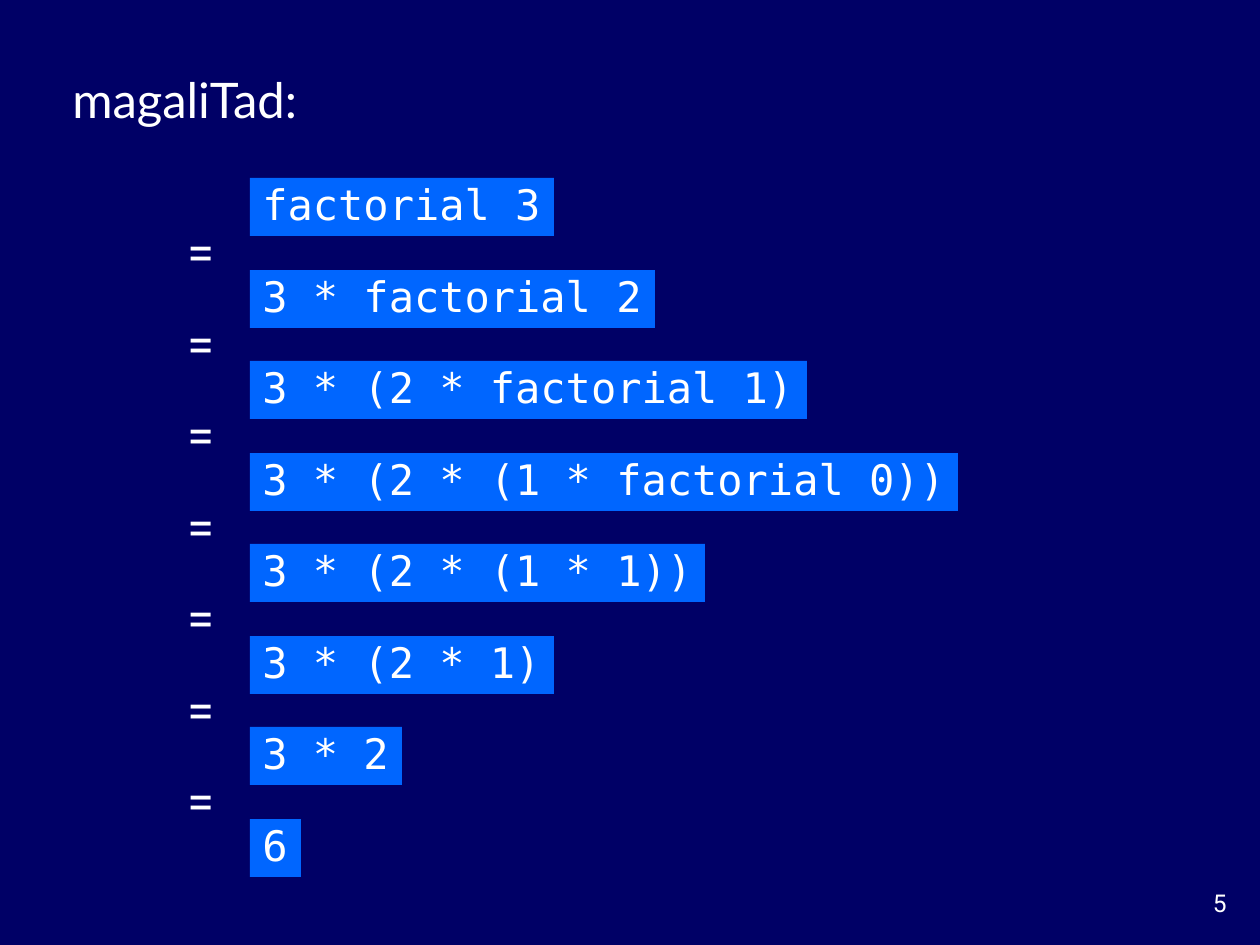
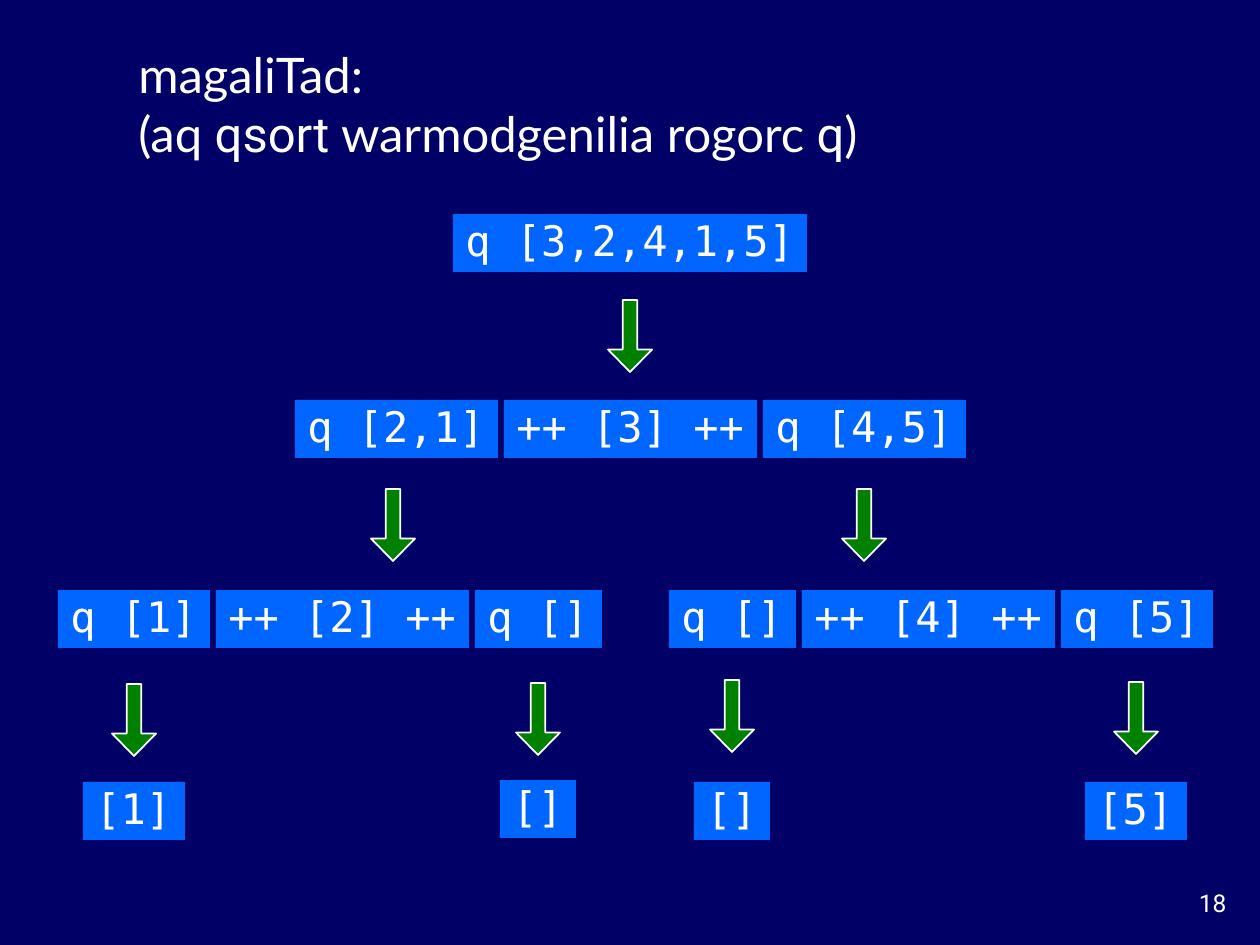
from math import ceil
from typing import NamedTuple

from pptx import Presentation
from pptx import util as u
from pptx.dml.color import RGBColor
from pptx.enum import shapes, text

# Shared style
EMU_PER_PX = 914400 / 126
NAVY = RGBColor(0x00, 0x00, 0x66)
BLUE = RGBColor(0x00, 0x66, 0xFF)
GREEN = RGBColor(0x00, 0x80, 0x00)
WHITE = RGBColor(0xFF, 0xFF, 0xFF)
TITLE_FONT, PLAIN_FONT, CODE_FONT = "Lato", "Roboto", "DejaVu Sans Mono"
TITLE_SIZE, CODE_SIZE, NUMBER_SIZE = 28, 24, 14
CODE_HEIGHT, CHAR_WIDTH, CODE_PADDING = 58, 25.28, 25.2
ARROW_WIDTH, ARROW_HEIGHT = 44, 72


class Box(NamedTuple):
    left: int
    top: int
    width: int
    height: int


class Span(NamedTuple):
    words: str
    font: str = TITLE_FONT


class Chain(NamedTuple):
    """Code boxes set side by side."""
    left: int
    top: int
    codes: list[str]


class Step(NamedTuple):
    """An arrow, and the result below it if it is a single box."""
    center: int
    top: int
    result: str = ""
    result_top: int = 782


# Content
STEPS = [
    "factorial 3",
    "3 * factorial 2",
    "3 * (2 * factorial 1)",
    "3 * (2 * (1 * factorial 0))",
    "3 * (2 * (1 * 1))",
    "3 * (2 * 1)",
    "3 * 2",
    "6",
]
CHAINS = [
    Chain(453, 214, ["q [3,2,4,1,5]"]),
    Chain(295, 400, ["q [2,1]", "++ [3] ++", "q [4,5]"]),
    Chain(58, 590, ["q [1]", "++ [2] ++", "q []"]),
    Chain(669, 590, ["q []", "++ [4] ++", "q [5]"]),
]
ARROWS = [
    Step(630, 300),
    Step(393, 489),
    Step(864, 489),
    Step(134, 684, "[1]"),
    Step(538, 683, "[]", 780),
    Step(732, 680, "[]"),
    Step(1136, 682, "[5]"),
]


def px(length: float) -> int:
    return round(length * EMU_PER_PX)


def emu(box: Box) -> list[int]:
    return [px(length) for length in box]


# Drawing
def write(shape, lines: list[list[Span]], *, size: int, align=text.PP_ALIGN.LEFT,
          anchor=text.MSO_ANCHOR.MIDDLE, spacing: float = 1.0,
          wrap: bool = False, grow: bool = True) -> None:
    frame = shape.text_frame
    frame.word_wrap = wrap
    frame.vertical_anchor = anchor
    frame.auto_size = (text.MSO_AUTO_SIZE.SHAPE_TO_FIT_TEXT if grow
                       else text.MSO_AUTO_SIZE.NONE)
    for index, spans in enumerate(lines):
        para = frame.add_paragraph() if index else frame.paragraphs[0]
        para.alignment = align
        para.line_spacing = spacing
        for span in spans:
            run = para.add_run()
            run.text = span.words
            run.font.name = span.font
            run.font.size = u.Pt(size)
            run.font.color.rgb = WHITE


def add_label(page, box: Box, lines: list[list[Span]], **form) -> None:
    write(page.shapes.add_textbox(*emu(box)), lines, **form)


def add_preset(page, kind, box: Box, fill: RGBColor):
    shape = page.shapes.add_shape(kind, *emu(box))
    shape.shadow.inherit = False
    shape.fill.solid()
    shape.fill.fore_color.rgb = fill
    shape.line.fill.background()
    return shape


def code_width(code: str) -> int:
    """Rounded up, so that the code always fits on one line."""
    return ceil(len(code) * CHAR_WIDTH + CODE_PADDING)


def add_code(page, code: str, left: int, top: int) -> None:
    box = Box(left, top, code_width(code), CODE_HEIGHT)
    shape = add_preset(page, shapes.MSO_SHAPE.RECTANGLE, box, BLUE)
    write(shape, [[Span(code, CODE_FONT)]], size=CODE_SIZE, spacing=0.9)


def add_chain(page, chain: Chain, gap: int = 6) -> None:
    left = chain.left
    for code in chain.codes:
        add_code(page, code, left, chain.top)
        left += code_width(code) + gap


def add_step(page, step: Step) -> None:
    box = Box(step.center - ARROW_WIDTH // 2, step.top, ARROW_WIDTH, ARROW_HEIGHT)
    arrow = add_preset(page, shapes.MSO_SHAPE.DOWN_ARROW, box, GREEN)
    arrow.adjustments[0] = 0.33
    arrow.adjustments[1] = 0.51
    arrow.line.color.rgb = WHITE
    arrow.line.width = u.Pt(1)
    if step.result:
        left = step.center - code_width(step.result) // 2
        add_code(page, step.result, left, step.result_top)


def add_page(deck, number: int):
    page = deck.slides.add_slide(deck.slide_layouts[6])
    page.background.fill.solid()
    page.background.fill.fore_color.rgb = NAVY
    add_label(page, Box(1155, 882, 84, 42), [[Span(str(number), PLAIN_FONT)]],
              size=NUMBER_SIZE, align=text.PP_ALIGN.RIGHT,
              anchor=text.MSO_ANCHOR.TOP, wrap=True, grow=False)
    return page


# Slides
def add_factorial(deck) -> None:
    page = add_page(deck, 5)
    add_label(page, Box(60, 63, 278, 72), [[Span("magaliTad:")]], size=TITLE_SIZE)
    for index, code in enumerate(STEPS):
        top = 178 + round(index * 91.57)
        add_code(page, code, 250, top)
        if index < len(STEPS) - 1:
            add_label(page, Box(174, top + 37, 53, 72), [[Span("=", PLAIN_FONT)]],
                      size=TITLE_SIZE, align=text.PP_ALIGN.CENTER)


def add_quicksort(deck) -> None:
    page = add_page(deck, 18)
    title = [
        [Span("magaliTad:")],
        [Span("(aq "), Span("qsort", PLAIN_FONT), Span(" warmodgenilia rogorc "),
         Span("q", PLAIN_FONT), Span(")")],
    ]
    add_label(page, Box(126, 38, 931, 131), title, size=TITLE_SIZE,
              align=text.PP_ALIGN.JUSTIFY, wrap=True)
    for chain in CHAINS:
        add_chain(page, chain)
    for step in ARROWS:
        add_step(page, step)


def main() -> None:
    deck = Presentation()
    deck.slide_width, deck.slide_height = px(1260), px(945)
    add_factorial(deck)
    add_quicksort(deck)
    deck.save("out.pptx")


if __name__ == "__main__":
    main()
